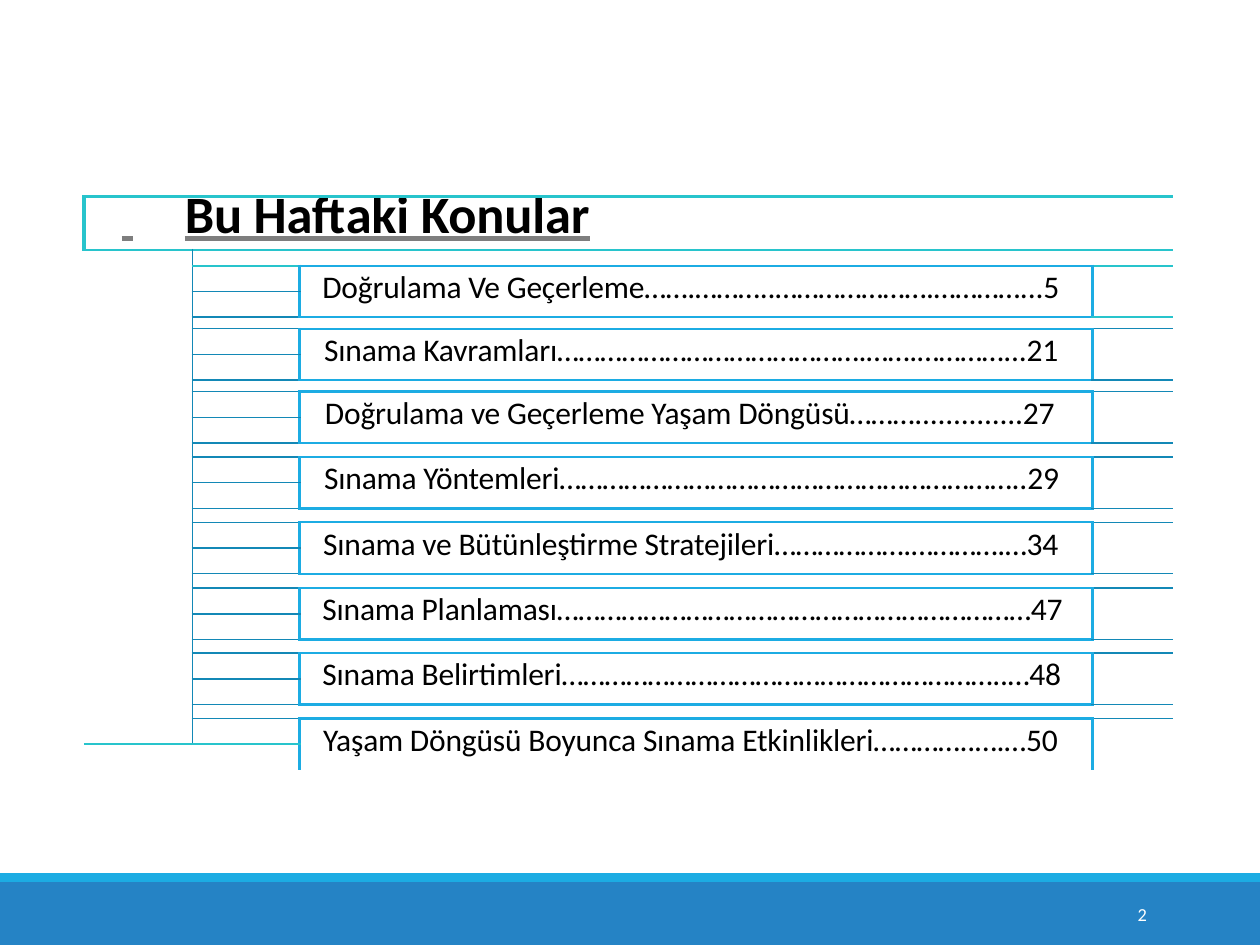
import pptx
import pptx.util
import pptx.dml.color
import pptx.enum.shapes
import pptx.oxml.ns
import lxml.etree as etree
from dataclasses import dataclass

Pt = pptx.util.Pt
qn = pptx.oxml.ns.qn


@dataclass(frozen=True)
class Theme:
    font: str = "Calibri"
    head: float = 30
    body: float = 18
    foot: float = 10.5
    tiny: float = 4
    black: str = "000000"
    white: str = "FFFFFF"
    gray: str = "7E7E7E"
    blue: str = "2583C5"
    sky: str = "1CACE3"
    teal: str = "28C4CC"
    deep: str = "1388B6"
    plain: str = "{2D5ABB26-0587-4C30-8999-92F81FD0307C}"


THEME = Theme()
SIDES = {"L": ("R", 0, -1), "R": ("L", 0, 1), "T": ("B", -1, 0), "B": ("T", 1, 0)}
TOPICS = [
    ("Doğrulama Ve Geçerleme…….………..………………….…………...5", 13),
    ("Sınama Kavramları…………………………………….…….…………...21", 14),
    ("Doğrulama ve Geçerleme Yaşam Döngüsü………..............27", 14.5),
    ("Sınama Yöntemleri………………………………………………………..29", 14),
    ("Sınama ve Bütünleştirme Stratejileri……………….………….…34", 13.5),
    ("Sınama Planlaması…………………………………………………………47", 13),
    ("Sınama Belirtimleri……………………………………………………..…48", 13),
    ("Yaşam Döngüsü Boyunca Sınama Etkinlikleri…………..….…50", 13.5),
]
GAPS = [9, 6.6, 6.6, 8, 8, 8.2, 7.8, 8]
HALF = 14.7
COLS = [62, 61.2, 453.2, 46.2]


def tint(code):
    return pptx.dml.color.RGBColor.from_string(code)


def apply(item, form):
    for name, value in form.items():
        setattr(item, name, value)


def paint(parent, color):
    fill = etree.SubElement(parent, qn("a:solidFill"))
    etree.SubElement(fill, qn("a:srgbClr"), val=color)


class Page:
    """Holds the theme and the slide being drawn."""

    def __init__(self, slide, theme):
        self.slide = slide
        self.theme = theme

    def band(self, top, height, color):
        shape = self.slide.shapes.add_shape(
            pptx.enum.shapes.MSO_SHAPE.RECTANGLE, 0, Pt(top), Pt(720), Pt(height))
        shape.shadow.inherit = False
        shape.fill.solid()
        shape.fill.fore_color.rgb = tint(color)
        shape.line.fill.background()

    def words(self, frame, text, color, form, para, indent, track):
        """Fill the first paragraph; track is in hundredths of a point."""
        line = frame.paragraphs[0]
        apply(line, para)
        props = line._p.get_or_add_pPr()
        props.set("marL", str(Pt(indent)))
        props.set("indent", "0")
        run = line.add_run()
        run.text = text
        apply(run.font, {"name": self.theme.font, **form})
        run.font.color.rgb = tint(color)
        run._r.get_or_add_rPr().set("spc", str(track))
        return line, run

    def label(self, left, top, width, height, text):
        box = self.slide.shapes.add_textbox(Pt(left), Pt(top), Pt(width), Pt(height))
        margins = dict.fromkeys(
            ("margin_left", "margin_top", "margin_right", "margin_bottom"), 0)
        apply(box.text_frame, {"word_wrap": True, **margins})
        self.words(box.text_frame, text, self.theme.white,
                   {"size": Pt(self.theme.foot)}, {"line_spacing": Pt(11.6)}, 3, 10)

    def grid(self, left, top, cols, rows):
        frame = self.slide.shapes.add_table(
            len(rows), len(cols), Pt(left), Pt(top), Pt(sum(cols)), Pt(sum(rows)))
        table = frame.table
        apply(table, {"first_row": False, "horz_banding": False})
        table._tbl.tblPr.find(qn("a:tableStyleId")).text = self.theme.plain
        for col, width in zip(table.columns, cols):
            col.width = Pt(width)
        for row, height in zip(table.rows, rows):
            row.height = Pt(height)
        return table

    def area(self, table, edges, first, last, **lines):
        """Merge a block and note its borders on both sides of each edge."""
        (top, left), (low, right) = first, last
        if first != last:
            table.cell(*first).merge(table.cell(*last))
        for row in range(top, low + 1):
            for col in range(left, right + 1):
                rim = {"L": col == left, "R": col == right,
                       "T": row == top, "B": row == low}
                for side, style in lines.items():
                    if rim[side]:
                        twin, down, over = SIDES[side]
                        edges[row, col, side] = style
                        edges[row + down, col + over, twin] = style
        return table.cell(*first)

    def finish(self, table, edges):
        """Clear fills and margins, shrink empty cells and draw the borders."""
        for r in range(len(table.rows)):
            for c in range(len(table.columns)):
                cell = table.cell(r, c)
                apply(cell, {"margin_left": 0, "margin_right": 0, "margin_bottom": 0,
                             "margin_top": Pt(1.6 if r and cell.text else 0)})
                if not cell.text:
                    end = etree.SubElement(cell.text_frame.paragraphs[0]._p,
                                           qn("a:endParaRPr"))
                    end.set("sz", str(int(self.theme.tiny * 100)))
                props = cell._tc.get_or_add_tcPr()
                for side in SIDES:
                    if (r, c, side) in edges:
                        color, width = edges[r, c, side]
                        paint(etree.SubElement(props, qn(f"a:ln{side}"),
                                               w=str(Pt(width))), color)
                cell.fill.background()

    def heading(self, cell, text):
        line, run = self.words(
            cell.text_frame, text, self.theme.black,
            {"size": Pt(self.theme.head), "bold": True, "underline": True},
            {"line_spacing": Pt(29.2)}, 21.6, -10)
        tabs = etree.SubElement(line._p.get_or_add_pPr(), qn("a:tabLst"))
        etree.SubElement(tabs, qn("a:tab"), pos=str(Pt(194.4)), algn="l")
        under = etree.Element(qn("a:uFill"))
        paint(under, self.theme.gray)
        run._r.get_or_add_rPr().find(qn("a:latin")).addprevious(under)

    def outline(self, title, topics):
        look = self.theme
        teal, thin = (look.teal, 1.5), (look.deep, 1)
        thick, rule = (look.sky, 2.25), (look.sky, 1.5)
        side = (look.teal, 2.25)
        rows = [30.6] + [size for gap in GAPS for size in (gap, HALF, HALF)]
        table = self.grid(48, 112.3, COLS, rows)
        edges = {}
        last = len(rows) - 1
        self.area(table, edges, (1, 0), (last - 1, 0), R=thin, B=teal)
        for i, (text, indent) in enumerate(topics):
            gap, high, low = (3 * i + step for step in (1, 2, 3))
            self.area(table, edges, (gap, 1), (gap, 3), L=thin,
                      **({} if i else {"B": teal}))
            if low < last:
                self.area(table, edges, (high, 1), (high, 1), L=thin, B=thin)
                self.area(table, edges, (low, 1), (low, 1), L=thin, B=thin)
                self.area(table, edges, (high, 3), (low, 3), B=thin)
            else:
                self.area(table, edges, (high, 1), (high, 1), L=thin, B=teal)
                self.area(table, edges, (low, 0), (low, 1), T=teal)
                self.area(table, edges, (high, 3), (low, 3))
            cell = self.area(table, edges, (high, 2), (low, 2),
                             L=thick, R=thick, T=rule, B=rule)
            self.words(cell.text_frame, text, look.black, {"size": Pt(look.body)},
                       {"space_before": Pt(1.8)}, indent, -10)
        head = self.area(table, edges, (0, 0), (0, 3), L=side, R=side, T=teal, B=teal)
        self.heading(head, title)
        self.finish(table, edges)


def main():
    deck = pptx.Presentation()
    apply(deck, {"slide_width": Pt(720), "slide_height": Pt(540)})
    page = Page(deck.slides.add_slide(deck.slide_layouts[6]), THEME)
    page.band(504, 36, THEME.blue)
    page.band(499, 5, THEME.sky)
    page.outline(" \tBu Haftaki Konular", TOPICS)
    page.label(647, 517, 10, 13.5, "2")
    deck.save("out.pptx")


if __name__ == "__main__":
    main()
